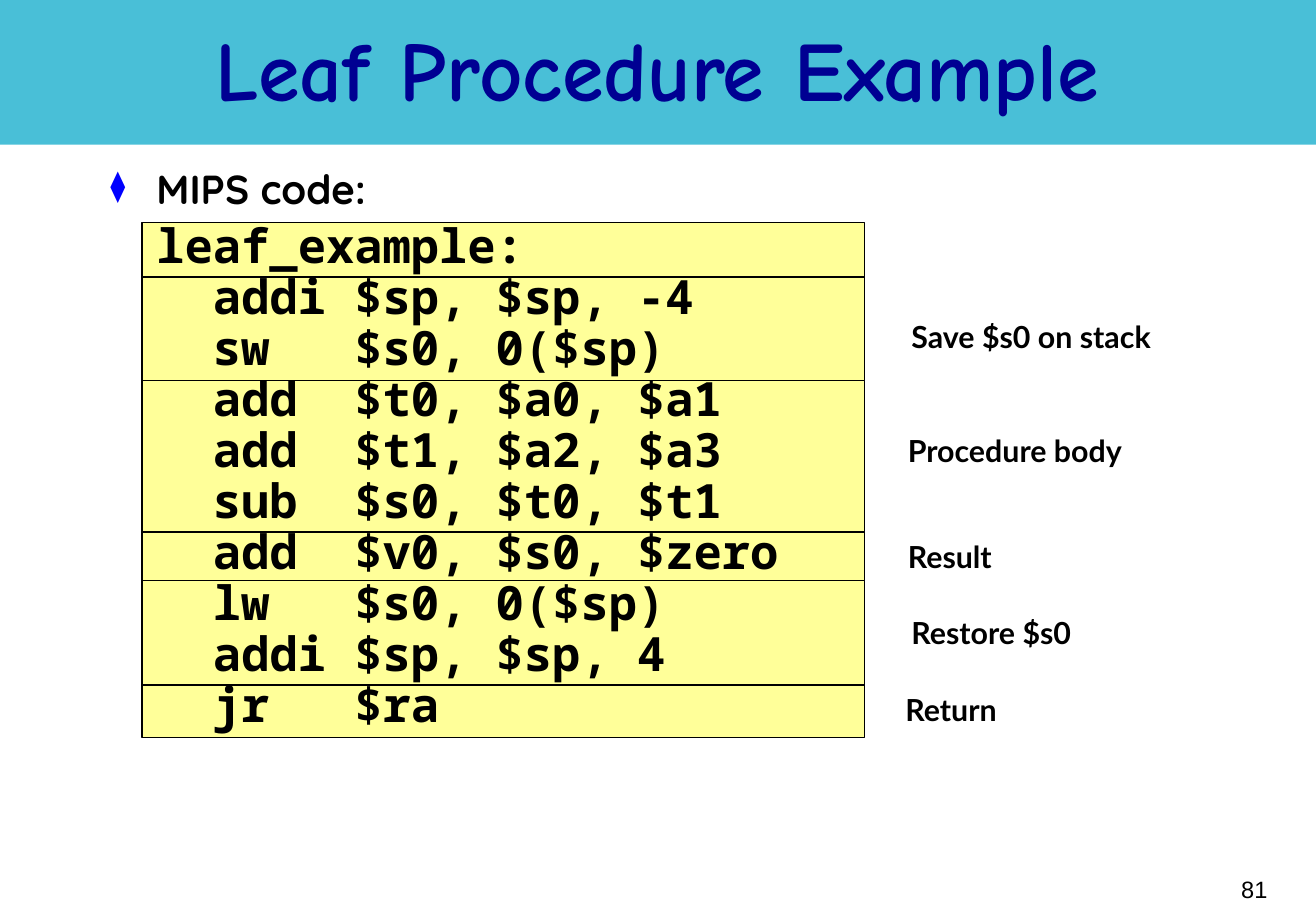
import pptx
import pptx.util
import pptx.dml.color
import pptx.enum.shapes
import pptx.enum.text
import pptx.oxml
import pptx.oxml.ns

Inches, Pt = pptx.util.Inches, pptx.util.Pt
RGBColor = pptx.dml.color.RGBColor
ALIGN = pptx.enum.text.PP_ALIGN
ANCHOR = pptx.enum.text.MSO_ANCHOR

BAND_BLUE = RGBColor(0x49, 0xBF, 0xD7)
TITLE_NAVY = RGBColor(0x00, 0x00, 0x92)
CODE_YELLOW = RGBColor(0xFF, 0xFF, 0x99)
BLACK = RGBColor(0, 0, 0)

TITLE_FORMAT = {"name": "Comic Neue", "size": Pt(50), "bold": True}
HEADING_FORMAT = {"name": "Quicksand", "size": Pt(24), "bold": True}
CODE_FORMAT = {"name": "Noto Sans Mono", "size": Pt(28), "bold": True}
LABEL_FORMAT = {"name": "Lato", "size": Pt(18), "bold": True}
NUMBER_FORMAT = {"name": "Arial", "size": Pt(14), "bold": False}

CODE = """leaf_example:
  addi $sp, $sp, -4
  sw   $s0, 0($sp)
  add  $t0, $a0, $a1
  add  $t1, $a2, $a3
  sub  $s0, $t0, $t1
  add  $v0, $s0, $zero
  lw   $s0, 0($sp)
  addi $sp, $sp, 4
  jr   $ra"""

prs = pptx.Presentation()
prs.slide_width, prs.slide_height = Inches(10.84), Inches(7.5)
slide = prs.slides.add_slide(prs.slide_layouts[6])


def add_box(left, top, width, height, fill):
    box = slide.shapes.add_shape(
        pptx.enum.shapes.MSO_SHAPE.RECTANGLE,
        Inches(left), Inches(top), Inches(width), Inches(height))
    box.shadow.inherit = False
    box.fill.solid()
    box.fill.fore_color.rgb = fill
    return box


def add_text(left, top, width, height, parts, color=BLACK, anchor=ANCHOR.TOP):
    """Write one paragraph for each (text, font format) and return them."""
    frame = slide.shapes.add_textbox(
        Inches(left), Inches(top), Inches(width), Inches(height)).text_frame
    frame.word_wrap = True
    frame.vertical_anchor = anchor
    for index, (text, font_format) in enumerate(parts):
        paragraph = frame.add_paragraph() if index else frame.paragraphs[0]
        paragraph.text = text
        for run in paragraph.runs:
            run.font.color.rgb = color
            for attribute, value in font_format.items():
                setattr(run.font, attribute, value)
    return frame.paragraphs


# Title band
band = add_box(0, 0, 10.84, 1.19, BAND_BLUE)
band.line.fill.background()
title, = add_text(0.81, 0.13, 9.21, 0.99, [("Leaf Procedure Example", TITLE_FORMAT)],
                  TITLE_NAVY, ANCHOR.MIDDLE)
title.alignment = ALIGN.CENTER
title.line_spacing = 0.85

# Stacked boxes behind the parts of the procedure
block_top = 1.83
for block_height in (0.45, 0.85, 1.25, 0.4, 0.86, 0.43):
    block = add_box(1.17, block_top, 5.95, block_height, CODE_YELLOW)
    block.line.color.rgb = BLACK
    block.line.width = Pt(0.75)
    block_top += block_height

# Heading and code
heading, code = add_text(0.81, 1.35, 9.21, 5.56,
                         [("MIPS code:", HEADING_FORMAT), (CODE, CODE_FORMAT)])
for paragraph in (heading, code):
    paragraph.line_spacing = 0.9
    paragraph._p.get_or_add_pPr().set("marL", str(Inches(0.38)))
code.space_before = Pt(5.2)

heading_properties = heading._p.get_or_add_pPr()
heading_properties.set("indent", str(Inches(-0.38)))
for bullet_xml in ('<a:buClr %s><a:srgbClr val="0000FF"/></a:buClr>',
                   '<a:buSzPct %s val="75000"/>',
                   '<a:buChar %s char="⧫"/>'):
    heading_properties.append(
        pptx.oxml.parse_xml(bullet_xml % pptx.oxml.ns.nsdecls("a")))

# Labels beside the boxes
for label, left, top in (("Save $s0 on stack", 7.41, 2.57),
                         ("Procedure body", 7.38, 3.51),
                         ("Result", 7.38, 4.38),
                         ("Restore $s0", 7.41, 5.01),
                         ("Return", 7.36, 5.64)):
    add_text(left, top, 2.4, 0.4, [(label, LABEL_FORMAT)])

# Slide number
number, = add_text(8.28, 7.07, 2.26, 0.5, [("81", NUMBER_FORMAT)],
                   anchor=ANCHOR.MIDDLE)
number.alignment = ALIGN.RIGHT

prs.save("out.pptx")
